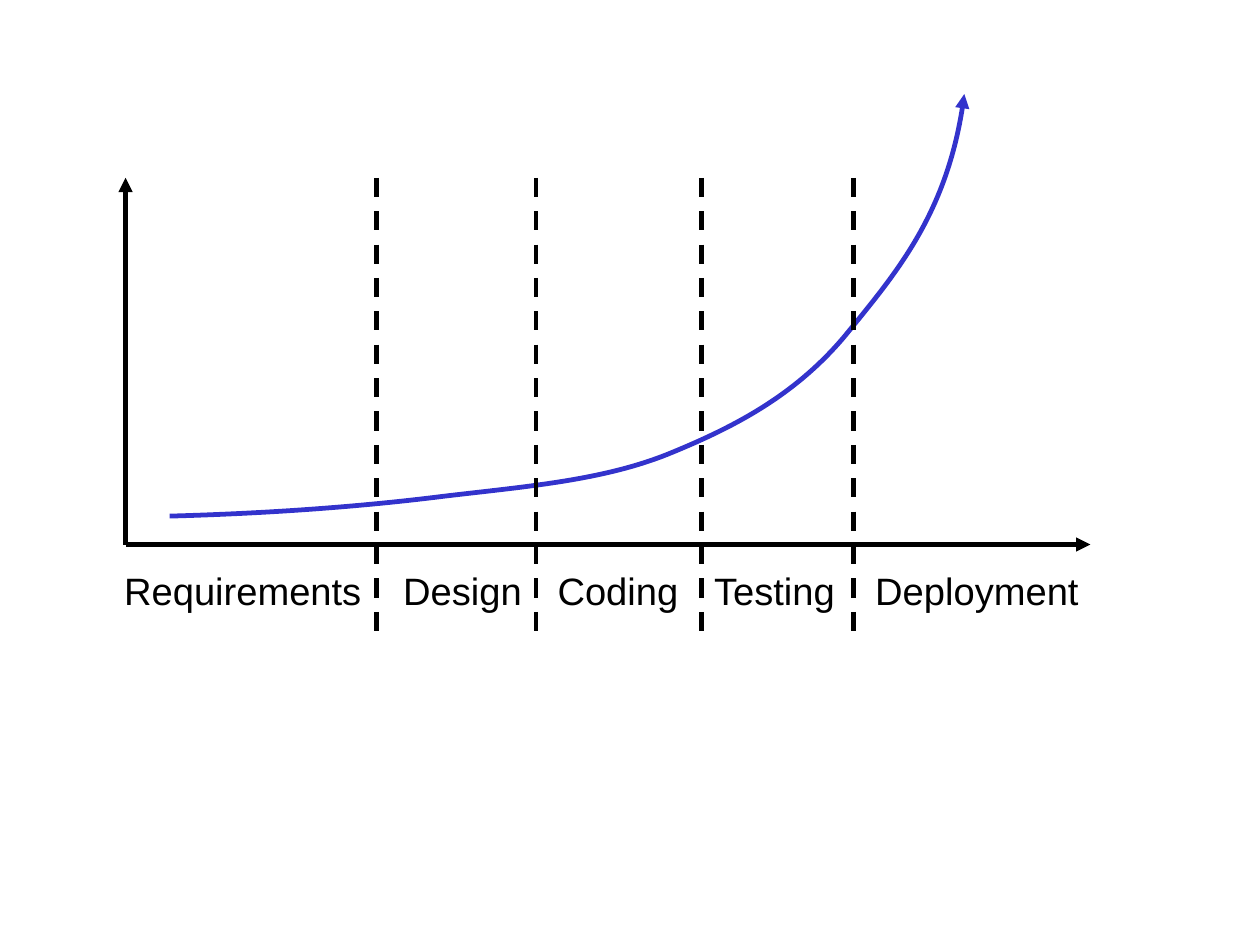
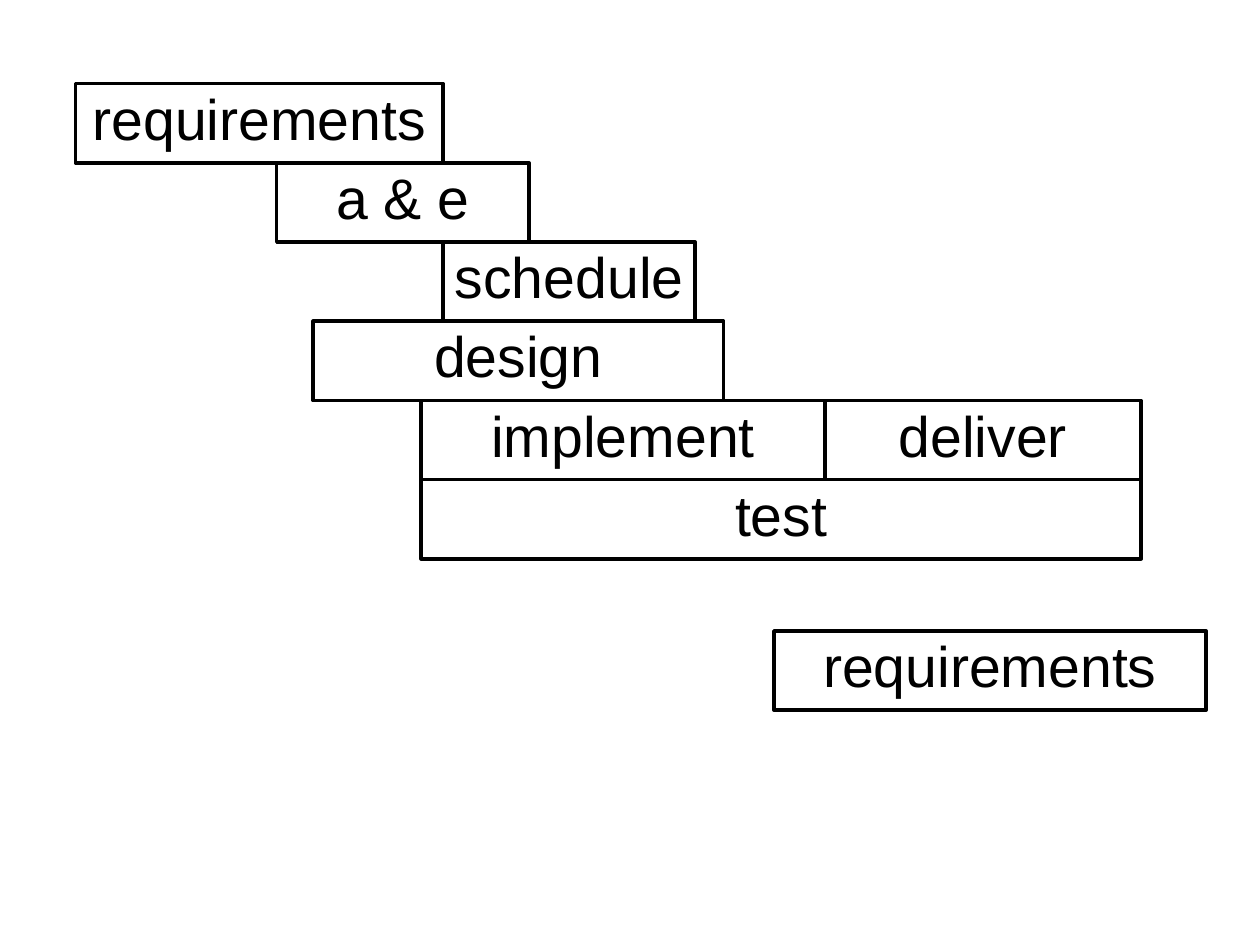
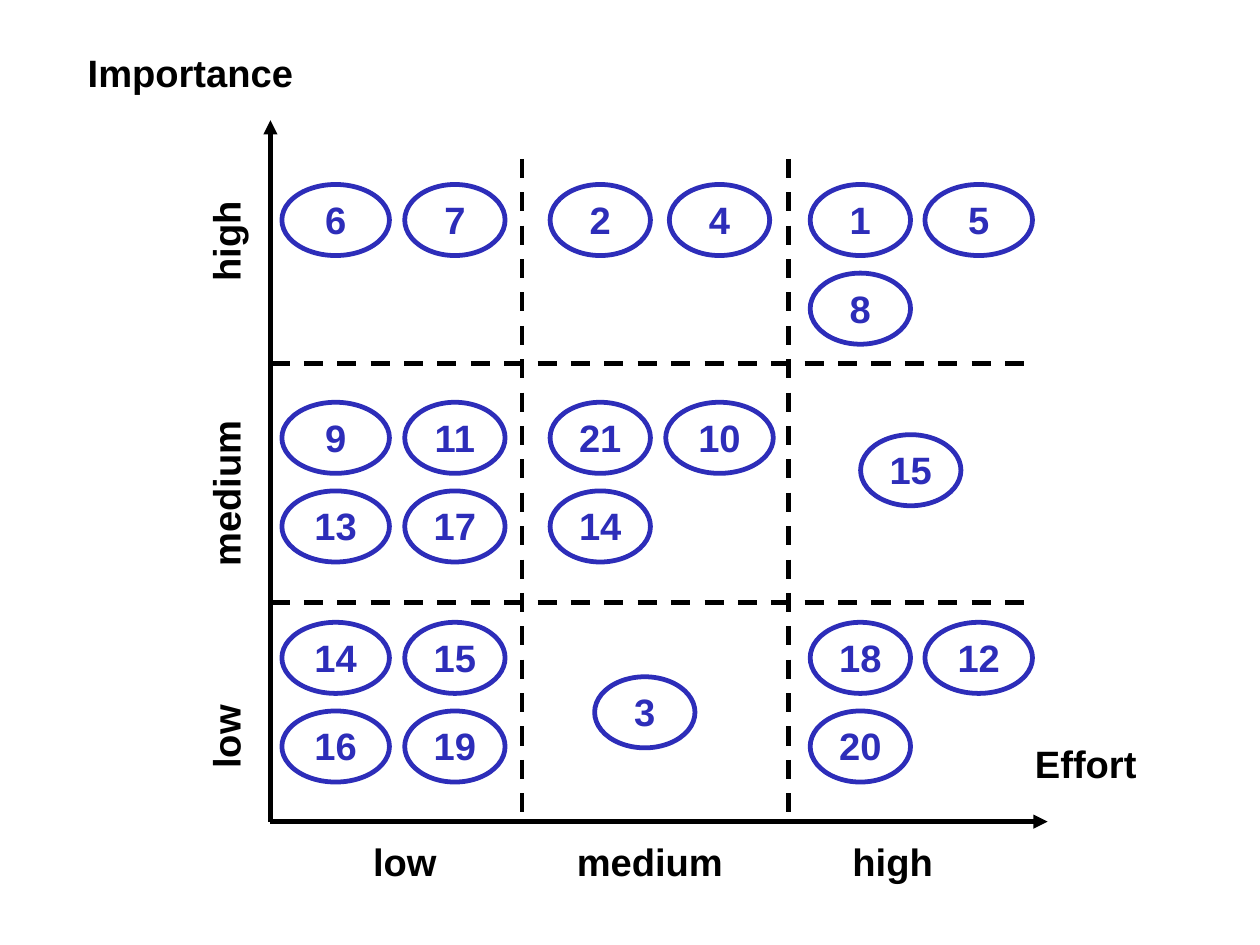
from dataclasses import dataclass

from lxml import etree
from pptx import Presentation
from pptx.dml.color import RGBColor
from pptx.enum.dml import MSO_LINE
from pptx.enum.shapes import MSO_CONNECTOR, MSO_SHAPE
from pptx.enum.text import MSO_ANCHOR, MSO_AUTO_SIZE, PP_ALIGN
from pptx.oxml.ns import qn
from pptx.util import Cm, Pt

STRAIGHT = MSO_CONNECTOR.STRAIGHT
RECT, OVAL = MSO_SHAPE.RECTANGLE, MSO_SHAPE.OVAL
DASH = MSO_LINE.DASH
TOP = MSO_ANCHOR.TOP
GROW = MSO_AUTO_SIZE.SHAPE_TO_FIT_TEXT
LEFT, CENTER = PP_ALIGN.LEFT, PP_ALIGN.CENTER


@dataclass(frozen=True)
class Theme:
    font: str = "Arial"
    ink: RGBColor = RGBColor(0x00, 0x00, 0x00)
    curve: RGBColor = RGBColor(0x33, 0x33, 0xCC)
    item: RGBColor = RGBColor(0x2D, 0x2D, 0xB9)
    label_size: int = 24
    task_size: int = 36
    line: float = 3
    task_line: float = 2.25
    spacing: float = 0.93
    label_height: float = 1.19


T = Theme()


@dataclass(frozen=True)
class Box:
    x: float
    y: float
    w: float
    h: float


def write(s, text, size=T.label_size, color=T.ink, bold=False, align=LEFT):
    tf = s.text_frame
    tf.word_wrap = False
    tf.vertical_anchor = TOP
    p = tf.paragraphs[0]
    p.alignment = align
    p.line_spacing = T.spacing
    r = p.add_run()
    r.text = text
    r.font.name, r.font.size, r.font.bold = T.font, Pt(size), bold
    r.font.color.rgb = color


def add_label(slide, text, x, y, w, rotation=0, **fmt):
    s = slide.shapes.add_textbox(Cm(x), Cm(y), Cm(w), Cm(T.label_height))
    s.rotation = rotation
    write(s, text, **fmt)
    s.text_frame.auto_size = GROW


def add_outlined(slide, kind, text, x, y, w, h, color, width, **fmt):
    s = slide.shapes.add_shape(kind, Cm(x), Cm(y), Cm(w), Cm(h))
    s.shadow.inherit = False
    s.fill.background()
    s.line.color.rgb = color
    s.line.width = Pt(width)
    write(s, text, color=color, align=CENTER, **fmt)


def add_arrowhead(s):
    etree.SubElement(s.line._get_or_add_ln(), qn("a:tailEnd"), type="triangle")


def add_line(slide, x1, y1, x2, y2, dashed=False):
    c = slide.shapes.add_connector(STRAIGHT, Cm(x1), Cm(y1), Cm(x2), Cm(y2))
    c.line.color.rgb = T.ink
    c.line.width = Pt(T.line)
    if dashed:
        c.line.dash_style = DASH
    else:
        add_arrowhead(c)
    etree.SubElement(c._element.spPr, qn("a:effectLst"))


def add_axes(slide, box):
    base = box.y + box.h
    add_line(slide, box.x, base, box.x + box.w, base)
    add_line(slide, box.x, base, box.x, box.y)


def add_curve(slide, start, segments, x, y):
    def place(point):
        return Cm(x + point[0]), Cm(y + point[1])

    builder = slide.shapes.build_freeform(*place(start))
    builder.add_line_segments([place(seg[-1]) for seg in segments], close=False)
    s = builder.convert_to_shape()
    for straight, seg in zip(s._element.xpath(".//a:lnTo"), segments):
        bezier = etree.Element(qn("a:cubicBezTo"))
        for px, py in map(place, seg):
            etree.SubElement(bezier, qn("a:pt"), x=str(px - s.left), y=str(py - s.top))
        straight.getparent().replace(straight, bezier)
    s.shadow.inherit = False
    s.fill.background()
    s.line.color.rgb = T.curve
    s.line.width = Pt(T.line)
    add_arrowhead(s)


def cost_curve(slide, box):
    add_axes(slide, box)
    phases = [("Requirements", -0.28, 5.77), ("Design", 5.92, 3.15),
              ("Coding", 9.35, 3.2), ("Testing", 12.83, 3.28),
              ("Deployment", 16.41, 5.03)]
    for name, dx, w in phases:
        add_label(slide, name, box.x + dx, box.y + box.h + 0.48, w)
    segments = [((3.19, 7.46), (5.23, 7.31), (7.06, 7.08)),
                ((8.91, 6.86), (10.59, 6.73), (12.06, 6.14)),
                ((13.56, 5.53), (14.9, 4.82), (16, 3.5)),
                ((17.09, 2.16), (18.31, 0.76), (18.64, -1.86))]
    add_curve(slide, (0.98, 7.52), segments, box.x, box.y)
    for dx in (5.58, 9.12, 12.8, 16.17):
        x = box.x + dx
        add_line(slide, x, box.y, x, box.y + box.h + 2.08, dashed=True)


def task_bars(slide, box):
    row_height = box.h / 6
    tasks = [("requirements", 0, 0, 8.17), ("a & e", 1, 4.47, 5.61),
             ("schedule", 2, 8.17, 5.6), ("design", 3, 5.28, 9.12),
             ("implement", 4, 7.68, 8.97), ("test", 5, 7.68, 16),
             ("deliver", 4, 16.64, 7.04), ("requirements", 6.91, 15.52, 9.6)]
    for name, row, dx, w in tasks:
        add_outlined(slide, RECT, name, box.x + dx, box.y + row * row_height, w,
                     row_height, T.ink, T.task_line, size=T.task_size)


def priority_matrix(slide, box):
    base = box.y + box.h
    add_axes(slide, box)
    for dx in (5.59, 11.51):
        add_line(slide, box.x + dx, box.y + 0.86, box.x + dx, base, dashed=True)
    for dy in (5.41, 10.72):
        y = box.y + dy
        add_line(slide, box.x, y, box.x + 16.79, y, dashed=True)

    levels = [("low", 1.92, 2.99, 13.7), ("medium", 3.76, 8.44, 8.29),
              ("high", 2.29, 13.83, 2.69)]
    for name, w, across, down in levels:
        add_label(slide, name, box.x + across - w / 2, base + 0.33, w, bold=True)
        add_label(slide, name, box.x - 0.95 - w / 2,
                  box.y + down - T.label_height / 2, w, rotation=270, bold=True)
    add_label(slide, "Effort", box.x + 16.74, box.y + 13.75, 2.77, bold=True)
    add_label(slide, "Importance", box.x - 4.31, box.y - 1.6, 5.07, bold=True)

    def add_item(text, center, top, w):
        add_outlined(slide, OVAL, text, box.x + center - w / 2, box.y + top, w, 1.58,
                     T.item, T.line, bold=True)

    narrow, wide = 2.23, 2.39
    columns = [(1.45, wide), (4.1, narrow), (7.33, narrow),
               (9.98, narrow), (13.11, narrow), (15.74, wide)]
    bands = [(1.43, ["6 7", "2 4", "1 5 8"]),
             (6.27, ["9 11 13 17", "21 10 14", ""]),
             (11.16, ["14 15 16 19", "", "18 12 20"])]
    for top, cells in bands:
        for level, cell in enumerate(cells):
            for i, text in enumerate(cell.split()):
                center, w = columns[2 * level + i % 2]
                add_item(text, center, top + i // 2 * 1.97, wide if text == "10" else w)
    add_item("15", 14.23, 6.99, narrow)
    add_item("3", 8.32, 12.37, narrow)


def main():
    prs = Presentation()
    prs.slide_width, prs.slide_height = Cm(28), Cm(21)
    pages = [(cost_curve, Box(2.79, 3.95, 21.44, 8.15)),
             (task_bars, Box(1.68, 1.86, 25.12, 10.56)),
             (priority_matrix, Box(6.01, 2.67, 17.27, 15.59))]
    for draw, box in pages:
        draw(prs.slides.add_slide(prs.slide_layouts[6]), box)
    prs.save("out.pptx")


if __name__ == "__main__":
    main()
